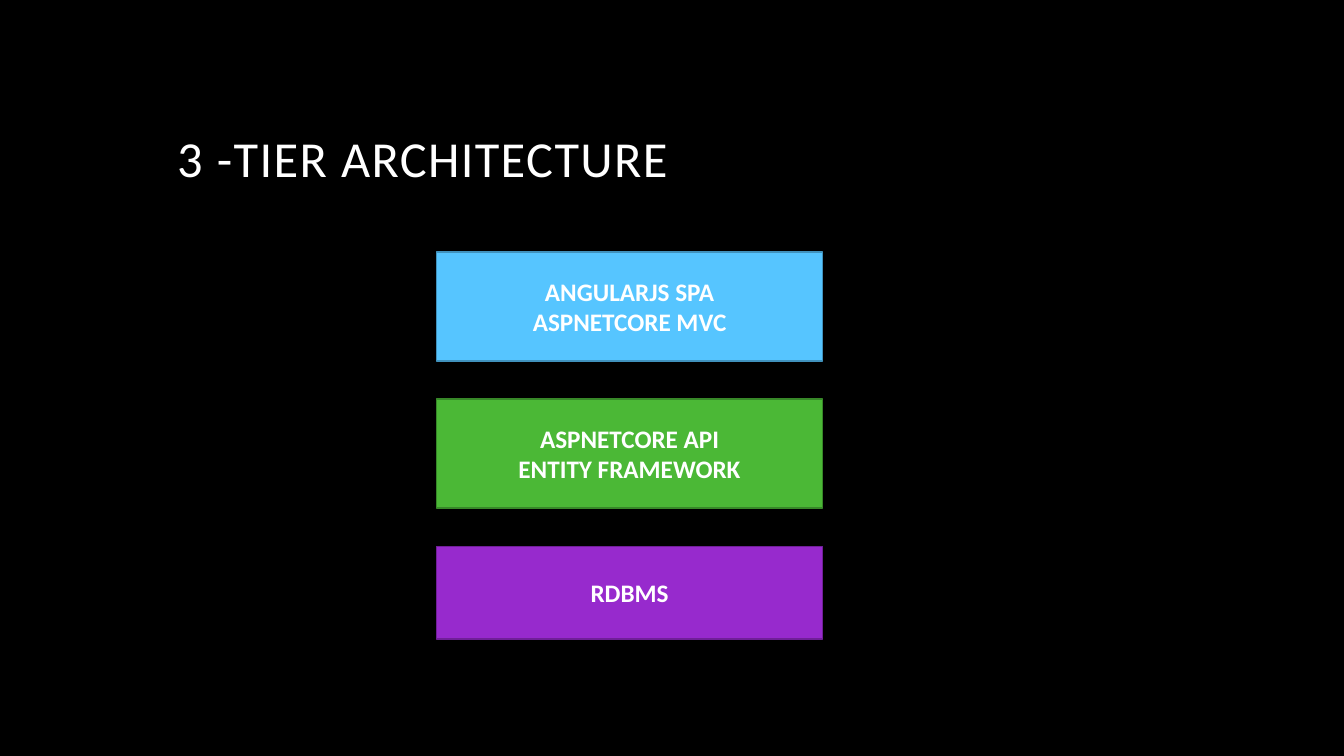
"""Build a slide that stacks the three tiers of an application architecture."""
import pptx
import pptx.dml.color
import pptx.enum.shapes
import pptx.enum.text
import pptx.util

Inches = pptx.util.Inches
RGB = pptx.dml.color.RGBColor.from_string
Anchor = pptx.enum.text.MSO_ANCHOR

THEME = {
    "background": RGB("000000"),
    "text": RGB("FFFFFF"),
    "presentation": (RGB("56C5FF"), RGB("4092BD")),
    "service": (RGB("4BB836"), RGB("378828")),
    "storage": (RGB("972ACD"), RGB("701F98")),
    "heading_font": {"name": "Calibri", "size": pptx.util.Pt(36)},
    "tier_font": {"name": "Calibri", "size": pptx.util.Pt(18), "bold": True},
}
TIERS = [
    ("presentation", 1.08, ["ANGULARJS SPA", "ASPNETCORE MVC"]),
    ("service", 1.08, ["ASPNETCORE API", "ENTITY FRAMEWORK"]),
    ("storage", 0.92, ["RDBMS"]),
]
TIER_LEFT, TIER_TOP, TIER_WIDTH, TIER_PITCH = 4.33, 2.5, 3.83, 1.46


def write_lines(frame, lines, font_format, paragraph_format):
    frame.word_wrap = True
    for index, line in enumerate(lines):
        paragraph = frame.add_paragraph() if index else frame.paragraphs[0]
        for key, value in paragraph_format.items():
            setattr(paragraph, key, value)
        run = paragraph.add_run()
        run.text = line
        for key, value in font_format.items():
            setattr(run.font, key, value)
        run.font.color.rgb = THEME["text"]


deck = pptx.Presentation()
deck.slide_width, deck.slide_height = Inches(13.33), Inches(7.5)
slide = deck.slides.add_slide(deck.slide_layouts[6])
slide.background.fill.solid()
slide.background.fill.fore_color.rgb = THEME["background"]

heading = slide.shapes.add_textbox(Inches(1.66), Inches(0.42), Inches(10), Inches(1.5)).text_frame
heading.vertical_anchor = Anchor.BOTTOM
write_lines(heading, ["3 -TIER ARCHITECTURE"], THEME["heading_font"], {"line_spacing": 0.9})
heading.paragraphs[0].runs[0].font._element.set("spc", "100")

for row, (role, height, technologies) in enumerate(TIERS):
    tier = slide.shapes.add_shape(
        pptx.enum.shapes.MSO_SHAPE.RECTANGLE,
        Inches(TIER_LEFT), Inches(TIER_TOP + row * TIER_PITCH),
        Inches(TIER_WIDTH), Inches(height),
    )
    fill_color, line_color = THEME[role]
    tier.shadow.inherit = False
    tier.fill.solid()
    tier.fill.fore_color.rgb = fill_color
    tier.line.color.rgb = line_color
    tier.line.width = pptx.util.Pt(1)
    tier.text_frame.vertical_anchor = Anchor.MIDDLE
    write_lines(tier.text_frame, technologies, THEME["tier_font"],
                {"alignment": pptx.enum.text.PP_ALIGN.CENTER})

deck.save("out.pptx")
